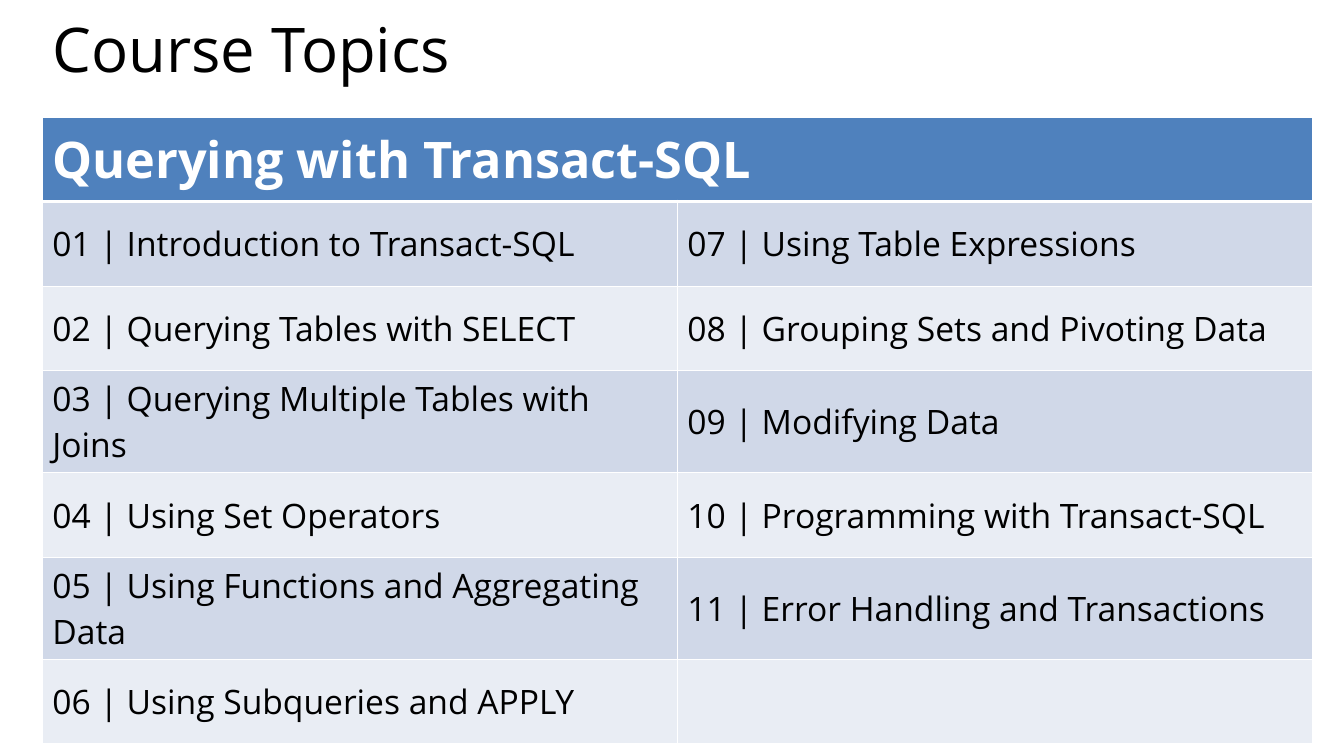
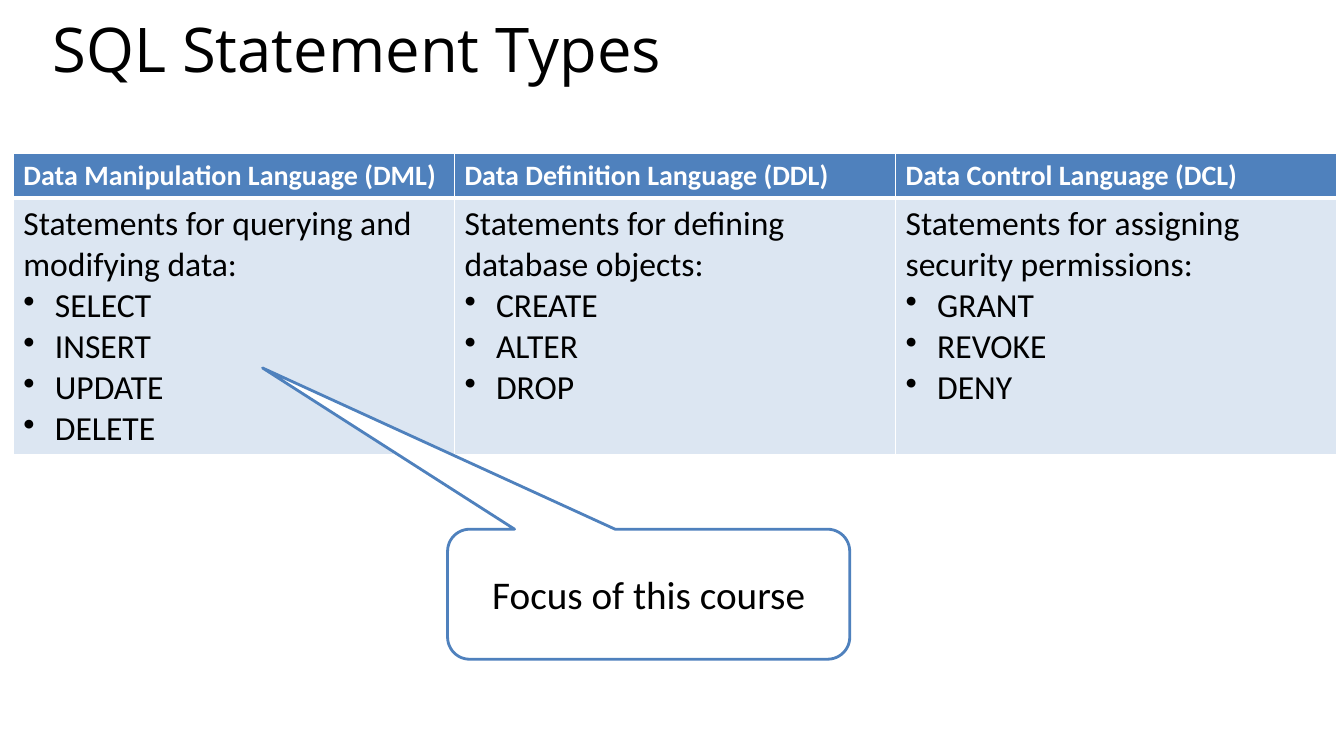
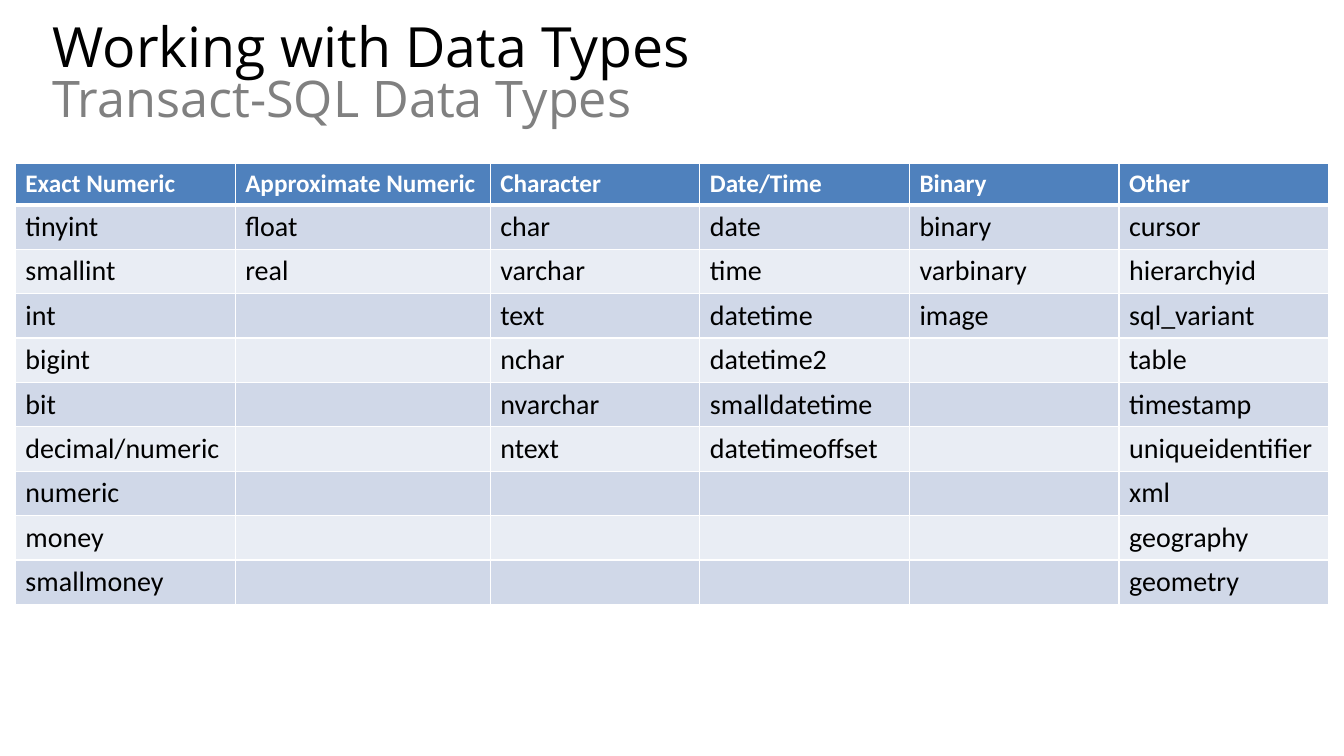
from itertools import zip_longest
from lxml import etree
from pptx import Presentation
from pptx.dml.color import RGBColor
from pptx.enum import shapes, text
from pptx.oxml import ns
from pptx.util import Pt

BLUE = RGBColor(0x4F, 0x81, 0xBD)
DARK = RGBColor(0xD0, 0xD8, 0xE8)
LIGHT = RGBColor(0xE9, 0xED, 0xF4)
PALE = RGBColor(0xDC, 0xE6, 0xF2)
WHITE = RGBColor(0xFF, 0xFF, 0xFF)
BLACK = RGBColor(0, 0, 0)
GREY = RGBColor(0x80, 0x80, 0x80)

deck = Presentation()
deck.slide_width, deck.slide_height = Pt(960), Pt(540)

# Shared title place
layout = deck.slide_layouts[5]
head = layout.placeholders[0]
head.left, head.top, head.width, head.height = Pt(30.24), Pt(14.4), Pt(907.2), Pt(83.5)
head.text_frame.vertical_anchor = text.MSO_ANCHOR.TOP
head.text_frame.auto_size = text.MSO_AUTO_SIZE.NONE


def add_slide(title, size=44, sub=None):
    slide = deck.slides.add_slide(layout)
    para = slide.shapes.title.text_frame.paragraphs[0]
    para.alignment = text.PP_ALIGN.LEFT
    para.line_spacing = 0.8
    para.font.name, para.font.size = "Open Sans", Pt(size)
    para.font.color.rgb = BLACK
    para.add_run().text = title
    if sub:
        para.add_line_break()
        run = para.add_run()
        run.text = sub
        run.font.size, run.font.color.rgb = Pt(36), GREY
    return slide


def add_grid(slide, left, top, widths, tall, rows, bands, face, sizes, anchor):
    """Lines after the first in a cell become bullets."""
    grid = slide.shapes.add_table(len(rows), len(widths), Pt(left), Pt(top),
                                  Pt(sum(widths)), Pt(tall * len(rows))).table
    grid.horz_banding = False
    for col, wide in zip(grid.columns, widths):
        col.width = Pt(wide)
    for r, row in enumerate(rows):
        grid.rows[r].height = Pt(tall)
        for c, words in enumerate(row):
            cell = grid.cell(r, c)
            cell.text = words
            cell.vertical_anchor = anchor
            cell.fill.solid()
            cell.fill.fore_color.rgb = bands[(r - 1) % len(bands)] if r else BLUE
            for i, para in enumerate(cell.text_frame.paragraphs):
                para.font.name, para.font.size = face, Pt(sizes[min(r, 1)])
                para.font.bold = r == 0
                para.font.color.rgb = BLACK if r else WHITE
                if i:
                    props = para._p.get_or_add_pPr()
                    props.set("marL", str(Pt(22.5)))
                    props.set("indent", str(-Pt(22.5)))
                    mark = etree.Element(ns.qn("a:buChar"), char="•")
                    props.insert(0, mark)
            # White borders, thick under the header
            for i, side in enumerate("LRTB"):
                thick = (r, side) in ((0, "B"), (1, "T"))
                line = etree.Element(ns.qn("a:ln" + side), w=str(Pt(3 if thick else 1)))
                fill = etree.SubElement(line, ns.qn("a:solidFill"))
                etree.SubElement(fill, ns.qn("a:srgbClr"), val=str(WHITE))
                cell._tc.get_or_add_tcPr().insert(i, line)
    return grid


# Slide 1: course topics
slide = add_slide("Course Topics")
topics = ["Introduction to Transact-SQL", "Querying Tables with SELECT",
          "Querying Multiple Tables with Joins", "Using Set Operators",
          "Using Functions and Aggregating Data", "Using Subqueries and APPLY",
          "Using Table Expressions", "Grouping Sets and Pivoting Data",
          "Modifying Data", "Programming with Transact-SQL",
          "Error Handling and Transactions"]
names = [f"{n:02} | {topic}" for n, topic in enumerate(topics, 1)]
rows = [("Querying with Transact-SQL", "")]
rows += zip_longest(names[:6], names[6:], fillvalue="")
grid = add_grid(slide, 30.24, 83.5, [453.6] * 2, 60.48, rows, [DARK, LIGHT],
                "Open Sans", (36, 24), text.MSO_ANCHOR.MIDDLE)
grid.cell(0, 0).merge(grid.cell(0, 1))

# Slide 2: statement types
slide = add_slide("SQL Statement Types")
rows = [("Data Manipulation Language (DML)", "Data Definition Language (DDL)",
         "Data Control Language (DCL)"),
        ("Statements for querying and modifying data:\nSELECT\nINSERT\nUPDATE\nDELETE",
         "Statements for defining database objects:\nCREATE\nALTER\nDROP",
         "Statements for assigning security permissions:\nGRANT\nREVOKE\nDENY")]
add_grid(slide, 9.5, 109.8, [315.12] * 3, 29.2, rows, [PALE],
         "Calibri", (20, 24), text.MSO_ANCHOR.TOP)

# Callout on the first column
note = slide.shapes.add_shape(shapes.MSO_SHAPE.ROUNDED_RECTANGULAR_CALLOUT,
                              Pt(319.7), Pt(378), Pt(287.3), Pt(92.9))
for i, value in enumerate((-0.96, -1.74, 0.17)):
    note.adjustments[i] = value
note.shadow.inherit = False
note.fill.solid()
note.fill.fore_color.rgb = WHITE
note.line.color.rgb, note.line.width = BLUE, Pt(2)
note.text_frame.text = "Focus of this course"
para = note.text_frame.paragraphs[0]
para.alignment = text.PP_ALIGN.CENTER
para.font.name, para.font.size = "Calibri", Pt(28)
para.font.color.rgb = BLACK

# Slide 3: data types
slide = add_slide("Working with Data Types", 39.6, "Transact-SQL Data Types")
kinds = {
    "Exact Numeric": "tinyint smallint int bigint bit decimal/numeric numeric money smallmoney",
    "Approximate Numeric": "float real",
    "Character": "char varchar text nchar nvarchar ntext",
    "Date/Time": "date time datetime datetime2 smalldatetime datetimeoffset",
    "Binary": "binary varbinary image",
    "Other": "cursor hierarchyid sql_variant table timestamp uniqueidentifier"
             " xml geography geometry",
}
rows = [tuple(kinds)]
rows += zip_longest(*(kind.split() for kind in kinds.values()), fillvalue="")
add_grid(slide, 11, 117, [157, 182.2] + [149.75] * 4, 29.2, rows, [DARK, LIGHT],
         "Calibri", (18, 20), text.MSO_ANCHOR.TOP)

deck.save("out.pptx")
